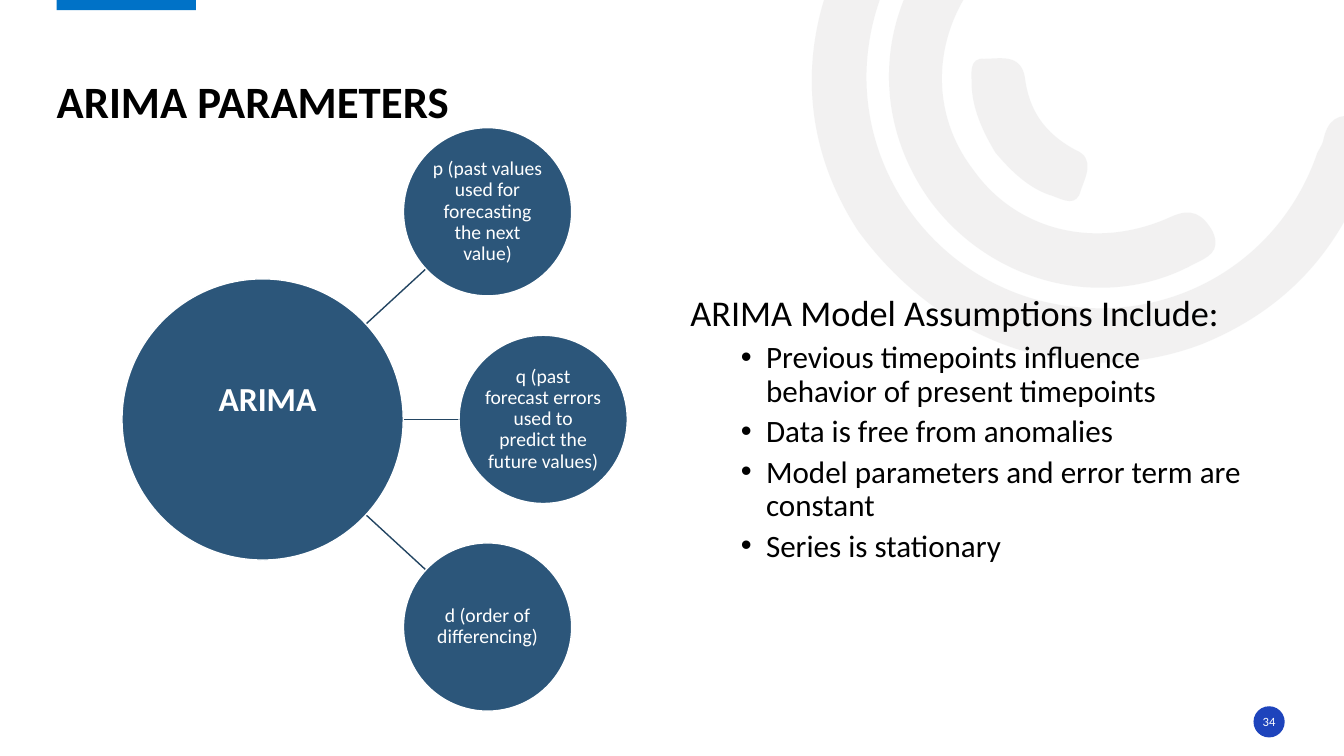
from dataclasses import dataclass
from math import cos, radians, sin

from lxml.etree import SubElement
from pptx import Presentation
from pptx.dml.color import RGBColor
from pptx.enum.shapes import MSO_CONNECTOR, MSO_SHAPE
from pptx.enum.text import MSO_ANCHOR, MSO_AUTO_SIZE, PP_ALIGN
from pptx.oxml.ns import qn
from pptx.util import Pt

FONT = "Calibri"
BLACK, WHITE = "000000", "FFFFFF"
CIRCLE_BLUE, SPOKE_BLUE = "2C567A", "234562"
BAR_BLUE, PAGE_BLUE, ARC_GREY = "0072C7", "1E44BC", "E7E6E6"
ARC_ROTATION = 144.2


@dataclass
class Disc:
    """A filled circle given by its centre, diameter and text."""
    x: float
    y: float
    diameter: float
    text: str
    size: float
    fill: str = CIRCLE_BLUE
    outline: str | None = WHITE
    bold: bool = False
    wrap: bool = True
    line_spacing: float = 1.0
    insets: tuple = (0.72, 0.72, 0.72, 0.72)


@dataclass
class Spoke:
    """A straight line from the hub to a parameter circle."""
    x1: float
    y1: float
    x2: float
    y2: float


# Background arcs: a start point, then three points for each Bezier curve
ARCS = [
    [(613, 165), (575, 107), (567, 36), (603, -36), (641, -109), (703, -146), (785, -149),
     (796, -149), (807, -151), (814, -140), (824, -126), (811, -111), (791, -111),
     (696, -111), (623, -42), (619, 49), (616, 130), (674, 202), (753, 217),
     (835, 233), (914, 188), (941, 109), (942, 107), (944, 104), (945, 101),
     (948, 86), (955, 80), (971, 84), (989, 89), (984, 102), (980, 112),
     (960, 176), (920, 221), (858, 246), (770, 279), (674, 248), (613, 165)],
    [(664, 143), (621, 83), (626, 5), (677, -49), (685, -57), (693, -68), (706, -56),
     (716, -46), (718, -36), (705, -23), (666, 19), (662, 78), (695, 121),
     (726, 165), (783, 179), (836, 155), (851, 148), (859, 153), (866, 165),
     (873, 180), (862, 184), (852, 189), (789, 223), (708, 203), (664, 143)],
    [(711, 109), (702, 94), (694, 77), (694, 59), (694, 53), (692, 41), (703, 42),
     (714, 42), (729, 38), (732, 55), (735, 79), (746, 95), (768, 107),
     (783, 113), (775, 127), (772, 136), (769, 148), (760, 143), (752, 140),
     (735, 135), (722, 122), (711, 109)],
]

# Hub, parameter circles and spokes, symmetric about the middle row
MIDDLE, ROW_STEP = 299.6, 148.3
HUB = Disc(187.6, MIDDLE, 200.9, "ARIMA", 24, bold=True, insets=(7, 0, 0, 30))
PARAMETERS = [
    Disc(x, MIDDLE + row * ROW_STEP, 120.2, text, 14, line_spacing=0.9)
    for row, x, text in [
        (-1, 348.3, "p (past values used for forecasting the next value)"),
        (0, 388, "q (past forecast errors used to predict the future values)"),
        (1, 348.3, "d (order of differencing)"),
    ]
]
SPOKES = [
    Spoke(258, MIDDLE + side * 65, 304 if side else 328, MIDDLE + side * 107.3)
    for side in (-1, 0, 1)
]
PAGE_NUMBER = Disc(906.5, 515.6, 22.3, "34", 9, fill=PAGE_BLUE, outline=None,
                   wrap=False, insets=(0, 0, 0, 0))

ASSUMPTIONS_HEADING = "ARIMA Model Assumptions Include:"
ASSUMPTIONS = [
    "Previous timepoints influence behavior of present timepoints",
    "Data is free from anomalies",
    "Model parameters and error term are constant",
    "Series is stationary",
]


def colour(value: str) -> RGBColor:
    return RGBColor.from_string(value)


def paint(shape, fill: str, outline: str | None = None) -> None:
    shape.shadow.inherit = False
    shape.fill.solid()
    shape.fill.fore_color.rgb = colour(fill)
    if outline:
        shape.line.color.rgb = colour(outline)
        shape.line.width = Pt(1)
    else:
        shape.line.fill.background()


def format_runs(paragraph, size: float, ink: str, bold: bool = False) -> None:
    for run in paragraph.runs:
        run.font.name, run.font.size, run.font.bold = FONT, Pt(size), bold
        run.font.color.rgb = colour(ink)


def set_insets(frame, insets: tuple) -> None:
    (frame.margin_left, frame.margin_top,
     frame.margin_right, frame.margin_bottom) = map(Pt, insets)


def place(shape, left: float, top: float, width: float, height: float) -> None:
    shape.left, shape.top = Pt(left), Pt(top)
    shape.width, shape.height = Pt(width), Pt(height)


def set_bullet(paragraph, margin: float, indent: float, symbol: str | None) -> None:
    properties = paragraph._p.get_or_add_pPr()
    properties.set("marL", str(Pt(margin)))
    properties.set("indent", str(Pt(indent)))
    if symbol:
        SubElement(properties, qn("a:buFont")).set("typeface", "Arial")
        SubElement(properties, qn("a:buChar")).set("char", symbol)
    else:
        SubElement(properties, qn("a:buNone"))


def turn(x: float, y: float, degrees: float) -> tuple[float, float]:
    c, s = cos(radians(degrees)), sin(radians(degrees))
    return x * c - y * s, x * s + y * c


def draw_arc(shapes, points: list) -> None:
    start, *others = [tuple(map(Pt, turn(*point, -ARC_ROTATION))) for point in points]
    builder = shapes.build_freeform(*start)
    builder.add_line_segments(others, close=True)
    arc = builder.convert_to_shape()

    # Group the straight segments by three into Bezier curves
    segments = list(arc._element.iter(qn("a:lnTo")))
    for i in range(0, len(segments), 3):
        curve = segments[i].getparent().makeelement(qn("a:cubicBezTo"))
        segments[i].addprevious(curve)
        for segment in segments[i:i + 3]:
            curve.append(segment[0])
            segment.getparent().remove(segment)

    # Turn the arc about its own middle and move that to its place
    half_width, half_height = arc.width / 2, arc.height / 2
    x, y = turn(arc.left + half_width, arc.top + half_height, ARC_ROTATION)
    arc.left, arc.top = round(x - half_width), round(y - half_height)
    arc.rotation = ARC_ROTATION
    paint(arc, ARC_GREY)
    tint = arc._element.spPr.find(qn("a:solidFill")).find(qn("a:srgbClr"))
    SubElement(tint, qn("a:alpha")).set("val", "53000")


def draw_disc(shapes, disc: Disc) -> None:
    radius = disc.diameter / 2
    circle = shapes.add_shape(MSO_SHAPE.OVAL, Pt(disc.x - radius), Pt(disc.y - radius),
                              Pt(disc.diameter), Pt(disc.diameter))
    paint(circle, disc.fill, disc.outline)
    frame = circle.text_frame
    frame.text = disc.text
    frame.word_wrap, frame.vertical_anchor = disc.wrap, MSO_ANCHOR.MIDDLE
    set_insets(frame, disc.insets)
    label = frame.paragraphs[0]
    label.alignment, label.line_spacing = PP_ALIGN.CENTER, disc.line_spacing
    format_runs(label, disc.size, WHITE, disc.bold)


def draw_spoke(shapes, spoke: Spoke) -> None:
    line = shapes.add_connector(MSO_CONNECTOR.STRAIGHT, Pt(spoke.x1), Pt(spoke.y1),
                                Pt(spoke.x2), Pt(spoke.y2))
    line.line.color.rgb = colour(SPOKE_BLUE)
    line.line.width = Pt(1)
    SubElement(line._element.spPr, qn("a:effectLst"))


def fill_placeholder(holder, lines: list[str], anchor: MSO_ANCHOR) -> list:
    frame = holder.text_frame
    frame.text = "\n".join(lines)
    frame.auto_size, frame.vertical_anchor = MSO_AUTO_SIZE.NONE, anchor
    for paragraph in frame.paragraphs:
        paragraph.alignment, paragraph.line_spacing = PP_ALIGN.LEFT, 0.9
    return list(frame.paragraphs)


def main() -> None:
    deck = Presentation()
    deck.slide_width, deck.slide_height = Pt(960), Pt(540)
    slide = deck.slides.add_slide(deck.slide_layouts[1])
    shapes = slide.shapes
    title, body = shapes.title, slide.placeholders[1]

    # Background and page number
    for arc in ARCS:
        draw_arc(shapes, arc)
    top_bar = shapes.add_shape(MSO_SHAPE.RECTANGLE, Pt(40.5), Pt(-1.5), Pt(99.4), Pt(8.7))
    paint(top_bar, BAR_BLUE)
    draw_disc(shapes, PAGE_NUMBER)

    # Title and assumptions, brought in front of the background
    for placeholder in (body, title):
        shapes._spTree.append(placeholder._element)
    place(title, 40.5, 19.2, 878, 72.5)
    set_insets(title.text_frame, (0, 0, 0, 0))
    [headline] = fill_placeholder(title, ["ARIMA PARAMETERS"], MSO_ANCHOR.BOTTOM)
    format_runs(headline, 32, BLACK, bold=True)

    place(body, 486, 207.4, 408, 216)
    heading, *items = fill_placeholder(body, [ASSUMPTIONS_HEADING, *ASSUMPTIONS], MSO_ANCHOR.TOP)
    heading.space_before = Pt(0)
    set_bullet(heading, 0, 0, None)
    format_runs(heading, 25.9, BLACK)
    for item in items:
        item.level, item.space_before = 1, Pt(5)
        set_bullet(item, 54, -18, "•")
        format_runs(item, 22.2, BLACK)

    # Parameter diagram
    for spoke in SPOKES:
        draw_spoke(shapes, spoke)
    for disc in (HUB, *PARAMETERS):
        draw_disc(shapes, disc)

    deck.save("out.pptx")


if __name__ == "__main__":
    main()
